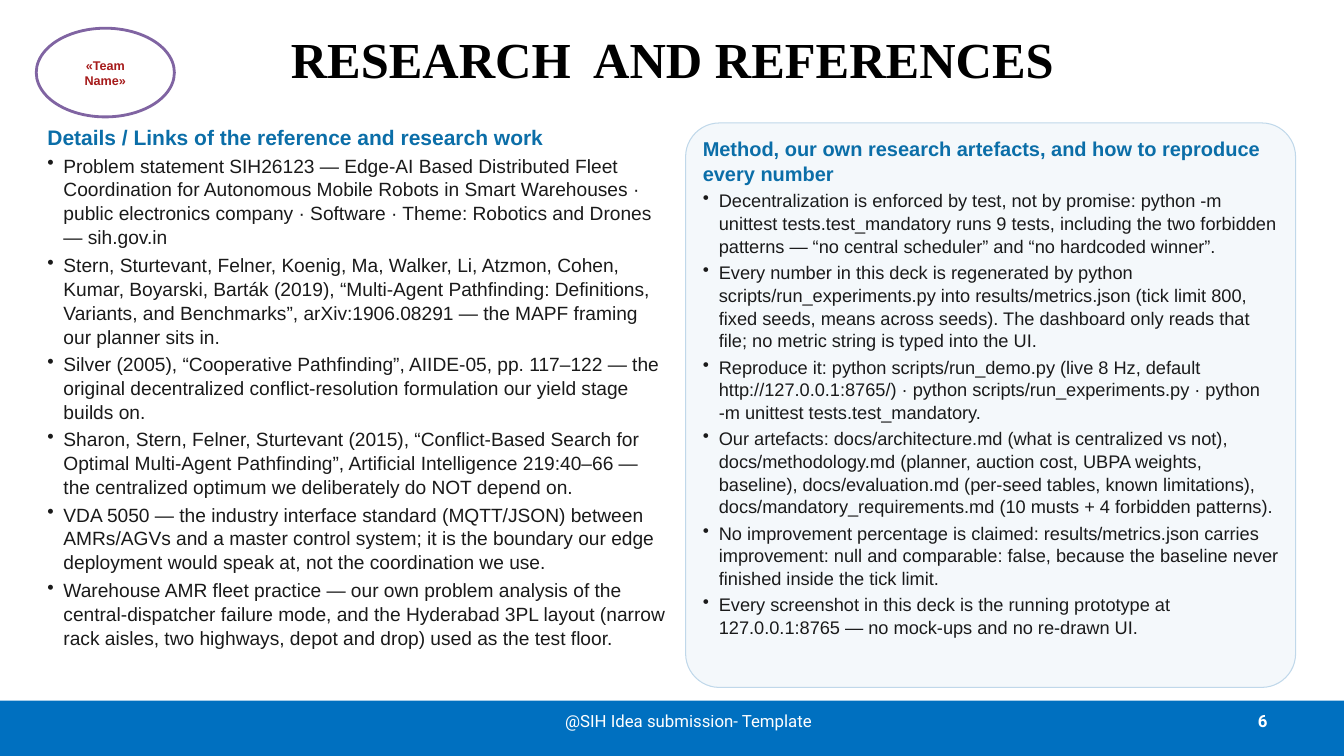
from lxml import etree
from pptx import Presentation
from pptx.dml.color import RGBColor
from pptx.enum.shapes import MSO_SHAPE
from pptx.enum.text import MSO_ANCHOR, PP_ALIGN
from pptx.oxml.ns import qn
from pptx.util import Inches, Pt

RECT, OVAL, ROUNDED = MSO_SHAPE.RECTANGLE, MSO_SHAPE.OVAL, MSO_SHAPE.ROUNDED_RECTANGLE
LEFT, CENTER, RIGHT = PP_ALIGN.LEFT, PP_ALIGN.CENTER, PP_ALIGN.RIGHT
TOP, MIDDLE = MSO_ANCHOR.TOP, MSO_ANCHOR.MIDDLE

COLORS = {
    "band": "0070C0", "white": "FFFFFF", "black": "000000", "purple": "8064A2",
    "red": "A61B1B", "heading": "0B6EA8", "body": "1A1A1A",
    "card": "F4F8FB", "card_line": "C0D8EA",
}

TITLE = "RESEARCH  AND REFERENCES"
TEAM = "«Team Name»"
FOOTER = "@SIH Idea submission- Template"
PAGE = "6"

COLUMNS = [
    {
        "box": (0.45, 1.22, 6.2, 5.6), "heading_size": 15, "body_size": 13.7,
        "heading": "Details / Links of the reference and research work",
        "bullets": [
            "Problem statement SIH26123 — Edge-AI Based Distributed Fleet Coordination for Autonomous Mobile Robots in Smart Warehouses · public electronics company · Software · Theme: Robotics and Drones — sih.gov.in",
            "Stern, Sturtevant, Felner, Koenig, Ma, Walker, Li, Atzmon, Cohen, Kumar, Boyarski, Barták (2019), “Multi-Agent Pathfinding: Definitions, Variants, and Benchmarks”, arXiv:1906.08291 — the MAPF framing our planner sits in.",
            "Silver (2005), “Cooperative Pathfinding”, AIIDE-05, pp. 117–122 — the original decentralized conflict-resolution formulation our yield stage builds on.",
            "Sharon, Stern, Felner, Sturtevant (2015), “Conflict-Based Search for Optimal Multi-Agent Pathfinding”, Artificial Intelligence 219:40–66 — the centralized optimum we deliberately do NOT depend on.",
            "VDA 5050 — the industry interface standard (MQTT/JSON) between AMRs/AGVs and a master control system; it is the boundary our edge deployment would speak at, not the coordination we use.",
            "Warehouse AMR fleet practice — our own problem analysis of the central-dispatcher failure mode, and the Hyderabad 3PL layout (narrow rack aisles, two highways, depot and drop) used as the test floor.",
        ],
    },
    {
        "box": (6.95, 1.34, 5.75, 5.36), "heading_size": 14.3, "body_size": 13,
        "heading": "Method, our own research artefacts, and how to reproduce every number",
        "bullets": [
            "Decentralization is enforced by test, not by promise: python -m unittest tests.test_mandatory runs 9 tests, including the two forbidden patterns — “no central scheduler” and “no hardcoded winner”.",
            "Every number in this deck is regenerated by python scripts/run_experiments.py into results/metrics.json (tick limit 800, fixed seeds, means across seeds). The dashboard only reads that file; no metric string is typed into the UI.",
            "Reproduce it: python scripts/run_demo.py (live 8 Hz, default http://127.0.0.1:8765/) · python scripts/run_experiments.py · python -m unittest tests.test_mandatory.",
            "Our artefacts: docs/architecture.md (what is centralized vs not), docs/methodology.md (planner, auction cost, UBPA weights, baseline), docs/evaluation.md (per-seed tables, known limitations), docs/mandatory_requirements.md (10 musts + 4 forbidden patterns).",
            "No improvement percentage is claimed: results/metrics.json carries improvement: null and comparable: false, because the baseline never finished inside the tick limit.",
            "Every screenshot in this deck is the running prototype at 127.0.0.1:8765 — no mock-ups and no re-drawn UI.",
        ],
    },
]


def rgb(name):
    return RGBColor.from_string(COLORS[name])


def inches(box):
    return [Inches(v) for v in box]


def write(p, text, size, color, font="Arial", bold=False, align=LEFT):
    p.alignment = align
    r = p.add_run()
    r.text = text
    for key, value in {"name": font, "size": Pt(size), "bold": bold}.items():
        setattr(r.font, key, value)
    r.font.color.rgb = rgb(color)


def add_bullet(p, indent=0.16):
    pPr = p._p.get_or_add_pPr()
    pPr.set("marL", str(Inches(indent)))
    pPr.set("indent", str(-Inches(indent)))
    etree.SubElement(pPr, qn("a:buChar")).set("char", "•")


def add_shape(s, kind, box, fill, line=None, width=0):
    sp = s.shapes.add_shape(kind, *inches(box))
    sp.shadow.inherit = False
    sp.fill.solid()
    sp.fill.fore_color.rgb = rgb(fill)
    if line:
        sp.line.color.rgb = rgb(line)
        sp.line.width = Pt(width)
    else:
        sp.line.fill.background()
    return sp


def add_text(s, box, anchor):
    tf = s.shapes.add_textbox(*inches(box)).text_frame
    tf.word_wrap = True
    tf.vertical_anchor = anchor
    return tf


def add_column(s, column):
    tf = add_text(s, column["box"], TOP)
    tf.margin_left = tf.margin_right = Inches(0.02)
    tf.margin_top = tf.margin_bottom = Inches(0.01)
    p = tf.paragraphs[0]
    write(p, column["heading"], column["heading_size"], "heading", bold=True)
    p.space_after = Pt(2)
    p.line_spacing = 1.04
    for text in column["bullets"]:
        p = tf.add_paragraph()
        add_bullet(p)
        write(p, text, column["body_size"], "body")
        p.space_after = Pt(2.5)
        p.line_spacing = 1.04


def main():
    prs = Presentation()
    prs.slide_width, prs.slide_height = Inches(13.33), Inches(7.5)
    s = prs.slides.add_slide(prs.slide_layouts[5])

    title = s.shapes.title
    title.left, title.top, title.width, title.height = inches((0.67, -0.05, 12, 1.25))
    title.text_frame.vertical_anchor = MIDDLE
    write(title.text_frame.paragraphs[0], TITLE, 36, "black", "Times New Roman", True, CENTER)

    add_shape(s, RECT, (0, 6.95, 13.33, 0.55), "band")
    for text, box, bold, align in [
        (PAGE, (9.56, 6.95, 3.11, 0.4), True, RIGHT),
        (FOOTER, (5.08, 6.95, 3.5, 0.4), False, CENTER),
    ]:
        tf = add_text(s, box, MIDDLE)
        write(tf.paragraphs[0], text, 12, "white", "Roboto", bold, align)

    team = add_shape(s, OVAL, (0.36, 0.28, 1.37, 0.88), "white", "purple", 2)
    team.text_frame.vertical_anchor = MIDDLE
    write(team.text_frame.paragraphs[0], TEAM, 9, "red", bold=True, align=CENTER)

    card = add_shape(s, ROUNDED, (6.8, 1.22, 6.05, 5.6), "card", "card_line", 0.75)
    card.adjustments[0] = 0.06
    for column in COLUMNS:
        add_column(s, column)

    prs.save("out.pptx")


if __name__ == "__main__":
    main()
